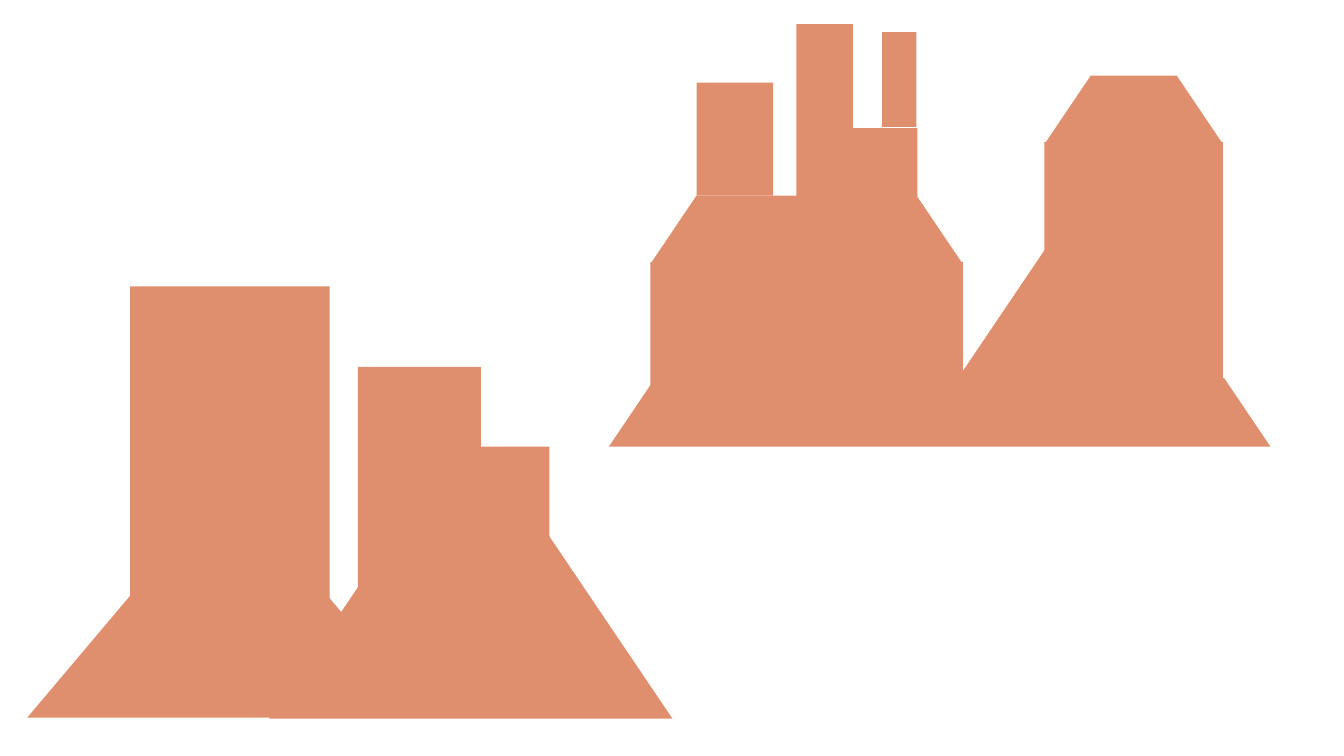
from pptx import Presentation
from pptx.dml.color import RGBColor
from pptx.enum.shapes import MSO_SHAPE as Preset
from pptx.util import Inches

CLAY = "E08F6E"
SLOPE = 0.675

# Each butte: slopes as (left, top, width, height, slope),
# towers as (left, top, width, height)
LEFT_BUTTES = [
    (0.27, 5.6, 4, 1.52, 0.844),
    (1.29, 2.84, 1.98, 3.32),
    (2.67, 5.22, 4, 1.91, SLOPE),
    (3.55, 3.64, 1.22, 2.34),
    (4.65, 4.43, 0.8, 1.39),
]
MIDDLE_BUTTE = [
    (6.04, 3.75, 6.56, 0.68, SLOPE),
    (6.45, 2.6, 3.1, 1.34),
    (6.45, 1.94, 3.1, 0.68, SLOPE),
    (6.91, 0.82, 0.76, 1.12),
    (7.9, 1.27, 1.2, 0.68),
    (8.75, 0.32, 0.34, 0.94),
    (7.9, 0.24, 0.56, 1.03),
]
RIGHT_BUTTE = [
    (10.36, 1.41, 1.77, 2.34),
    (10.36, 0.75, 1.77, 0.68, SLOPE),
    (9.49, 2.25, 2.64, 1.52, SLOPE),
]


def color(hex_value):
    return RGBColor.from_string(hex_value)


def add_rock(page, left, top, width, height, slope=None):
    """Add a tower, or a sloped trapezoid when a slope is given."""
    preset = Preset.RECTANGLE if slope is None else Preset.TRAPEZOID
    rock = page.shapes.add_shape(
        preset, Inches(left), Inches(top), Inches(width), Inches(height))
    if slope is not None:
        rock.adjustments[0] = slope
    rock.shadow.inherit = False
    rock.fill.solid()
    rock.fill.fore_color.rgb = color(CLAY)
    rock.line.fill.background()


def main():
    deck = Presentation()
    deck.slide_width, deck.slide_height = Inches(13.33), Inches(7.5)
    page = deck.slides.add_slide(deck.slide_layouts[6])

    # Rock formations, from back to front
    for butte in (LEFT_BUTTES, MIDDLE_BUTTE, RIGHT_BUTTE):
        for rock in butte:
            add_rock(page, *rock)

    deck.save("out.pptx")


if __name__ == "__main__":
    main()
